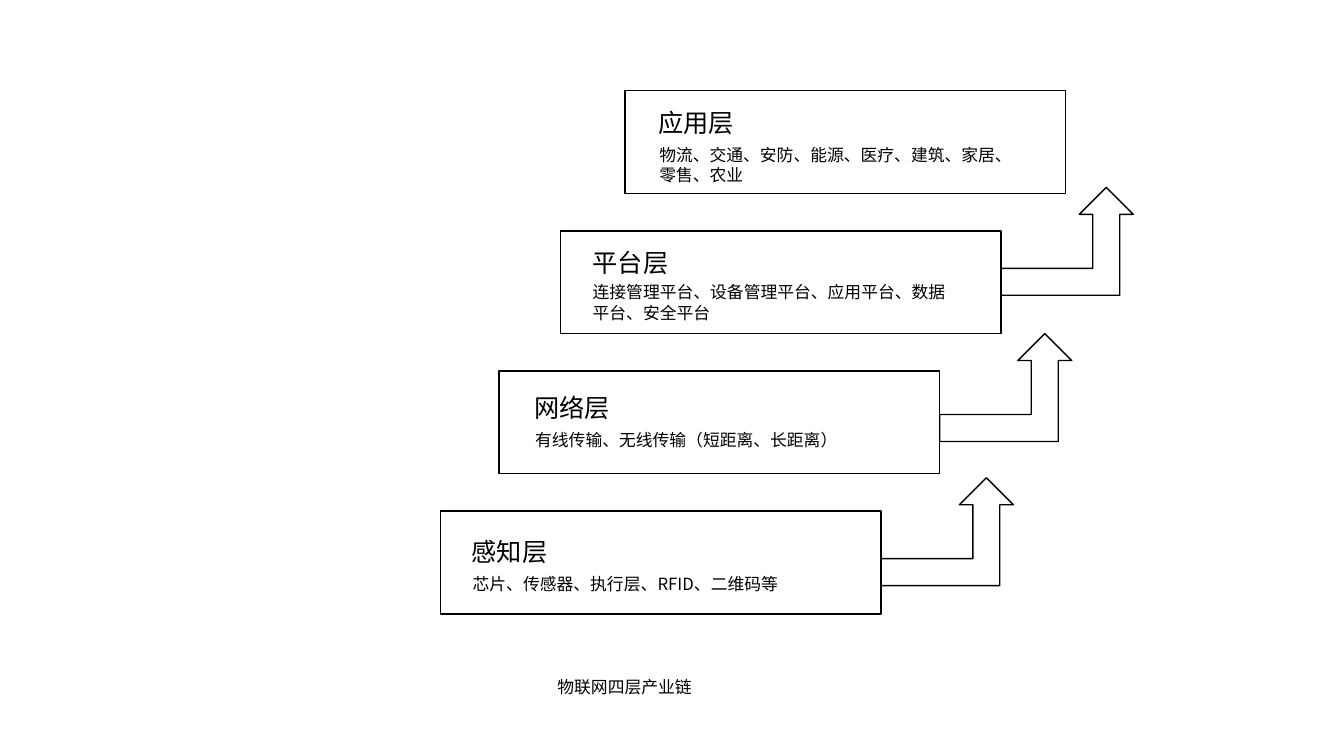
from dataclasses import dataclass

from pptx import Presentation
from pptx.dml.color import RGBColor
from pptx.enum.shapes import MSO_SHAPE
from pptx.enum.text import MSO_AUTO_SIZE
from pptx.oxml.ns import qn
from pptx.slide import Slide
from pptx.util import Emu, Pt

EMU_PER_PX = 9144  # 100 px to the inch
COLOURS = {"ink": "000000"}
FONT = "Noto Sans CJK SC"
LAYER_WIDTH, LAYER_HEIGHT = 437, 102
ARROW_WIDTH, ARROW_HEIGHT = 131, 107
LOWEST_TOP, LAYER_STEP = 507, 139


@dataclass(frozen=True)
class Layer:
    name: str
    details: str
    left: int
    name_at: tuple[int, int]
    details_at: tuple[int, int]
    details_size: tuple[int, int]
    arrow_top: int | None = None


LAYERS = [
    Layer("感知层", "芯片、传感器、执行层、RFID、二维码等", 437,
          (458, 527), (459, 564), (323, 50), 474),
    Layer("网络层", "有线传输、无线传输（短距离、长距离）", 495,
          (520, 384), (521, 421), (323, 30), 331),
    Layer("平台层", "连接管理平台、设备管理平台、应用平台、数据平台、安全平台", 556,
          (578, 240), (578, 275), (379, 50), 186),
    Layer("应用层", "物流、交通、安防、能源、医疗、建筑、家居、零售、农业", 620,
          (643, 102), (644, 139), (381, 50)),
]


def px(length: int) -> Emu:
    return Emu(length * EMU_PER_PX)


def add_outline(slide: Slide, preset: MSO_SHAPE, left: int, top: int,
                width: int, height: int) -> None:
    """Draw an unfilled preset shape with a thin outline."""
    shape = slide.shapes.add_shape(preset, px(left), px(top), px(width), px(height))
    shape.shadow.inherit = False
    shape.fill.background()
    shape.line.color.rgb = RGBColor.from_string(COLOURS["ink"])
    shape.line.width = Pt(1)


def add_text(slide: Slide, text: str, left: int, top: int, width: int, height: int,
             *, size: int = 12, wrap: bool = False) -> None:
    box = slide.shapes.add_textbox(px(left), px(top), px(width), px(height))
    frame = box.text_frame
    frame.word_wrap = wrap
    frame.auto_size = MSO_AUTO_SIZE.SHAPE_TO_FIT_TEXT
    run = frame.paragraphs[0].add_run()
    run.text = text
    run.font.size = Pt(size)
    run.font.color.rgb = RGBColor.from_string(COLOURS["ink"])
    run.font.name = FONT
    east_asian = run.font._element.makeelement(qn("a:ea"), {"typeface": FONT})
    run.font._element.append(east_asian)


def add_layer(slide: Slide, layer: Layer, top: int) -> None:
    add_outline(slide, MSO_SHAPE.RECTANGLE, layer.left, top, LAYER_WIDTH, LAYER_HEIGHT)
    add_text(slide, layer.name, *layer.name_at, 96, 40, size=18)
    add_text(slide, layer.details, *layer.details_at, *layer.details_size, wrap=True)
    if layer.arrow_top is not None:
        add_outline(slide, MSO_SHAPE.BENT_UP_ARROW, layer.left + LAYER_WIDTH,
                    layer.arrow_top, ARROW_WIDTH, ARROW_HEIGHT)


def main() -> None:
    presentation = Presentation()
    presentation.slide_width, presentation.slide_height = px(1333), px(750)
    slide = presentation.slides.add_slide(presentation.slide_layouts.get_by_name("Blank"))
    for index, layer in enumerate(LAYERS):
        add_layer(slide, layer, LOWEST_TOP - index * LAYER_STEP)
    add_text(slide, "物联网四层产业链", 543, 666, 155, 30)
    presentation.save("out.pptx")


if __name__ == "__main__":
    main()
